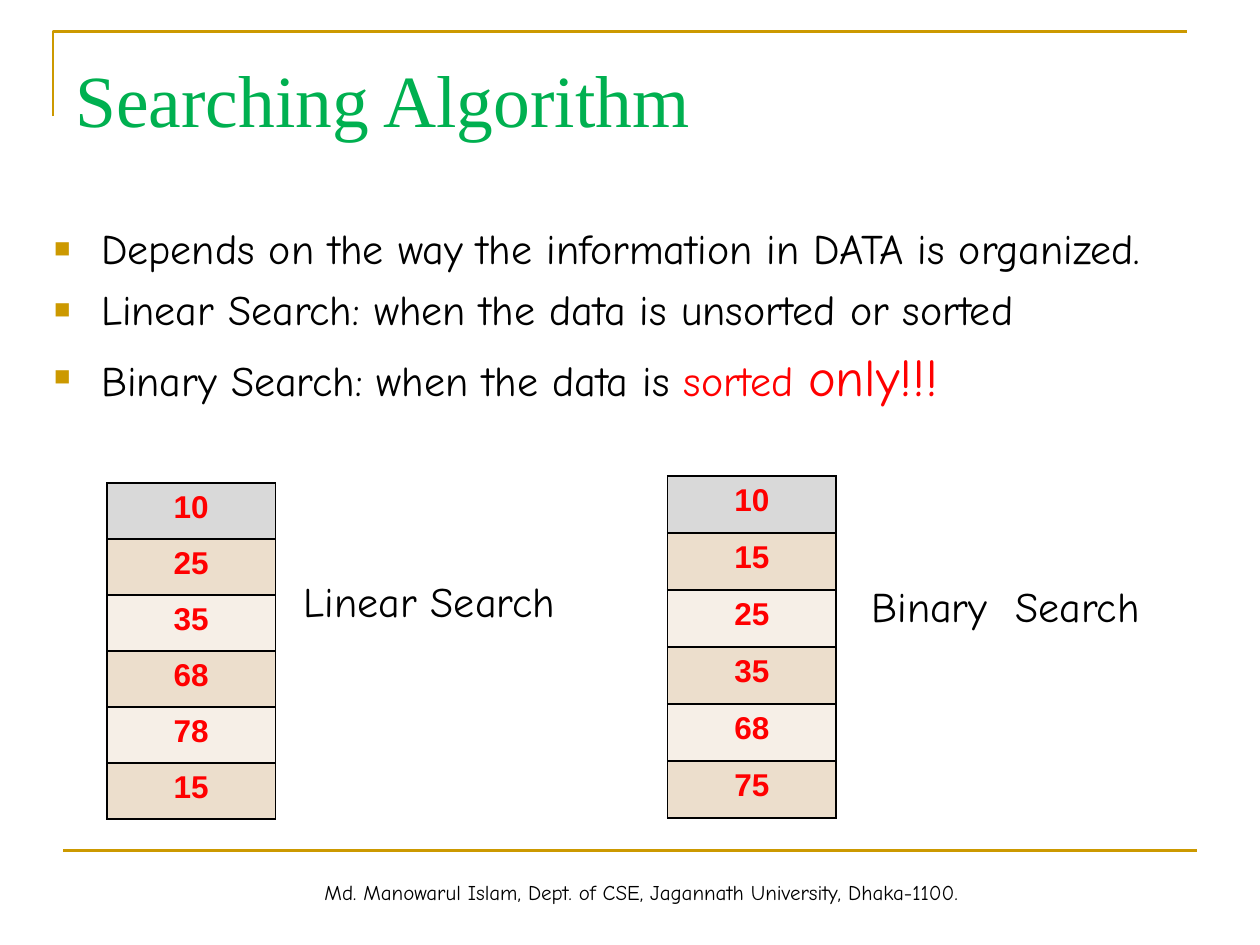
"""Build the Searching Algorithm slide with a linear and a binary search column."""
from lxml import etree
from pptx import Presentation
from pptx.dml.color import RGBColor
from pptx.enum.shapes import MSO_CONNECTOR
from pptx.enum.text import PP_ALIGN
from pptx.oxml.ns import qn
from pptx.util import Cm, Pt

CENTER, LEFT = PP_ALIGN.CENTER, PP_ALIGN.LEFT
STRAIGHT = MSO_CONNECTOR.STRAIGHT

BLACK = RGBColor(0x00, 0x00, 0x00)
RED = RGBColor(0xFF, 0x00, 0x00)
GREEN = RGBColor(0x00, 0xB0, 0x50)
GOLD = RGBColor(0xCC, 0x99, 0x00)
GRAY = RGBColor(0xD9, 0xD9, 0xD9)
TAN = RGBColor(0xEC, 0xDE, 0xCC)
CREAM = RGBColor(0xF6, 0xEF, 0xE7)

TITLE = {"name": "Times New Roman", "size": Pt(42)}
BODY = {"name": "Comic Neue", "size": Pt(24)}
EMPHASIS = {"name": "Comic Neue", "size": Pt(30)}
FOOTER = {"name": "Comic Neue", "size": Pt(12)}
NUMBER = {"name": "Arial", "size": Pt(18), "bold": True}


class SearchSlide:
    """Holds the rule style and the current slide."""

    def __init__(self, slide):
        self.slide = slide
        self.rule_format = {"width": Pt(1.5)}

    def style_rule(self, line):
        line.color.rgb = GOLD
        for name, value in self.rule_format.items():
            setattr(line, name, value)

    def corner(self, left, top, right, bottom):
        builder = self.slide.shapes.build_freeform(Cm(left), Cm(bottom))
        builder.add_line_segments([(Cm(left), Cm(top)), (Cm(right), Cm(top))], close=False)
        frame = builder.convert_to_shape()
        frame.shadow.inherit = False
        frame.fill.background()
        self.style_rule(frame.line)

    def rule(self, left, right, y):
        rule = self.slide.shapes.add_connector(STRAIGHT, Cm(left), Cm(y), Cm(right), Cm(y))
        etree.SubElement(rule._element.spPr, qn("a:effectLst"))
        self.style_rule(rule.line)

    def add_words(self, paragraph, words, style, color, align=LEFT):
        paragraph.alignment = align
        run = paragraph.add_run()
        run.text = words
        run.font.color.rgb = color
        for name, value in style.items():
            setattr(run.font, name, value)

    def frame(self, box, **margins):
        text_frame = self.slide.shapes.add_textbox(*map(Cm, box)).text_frame
        text_frame.word_wrap = True
        for name, value in margins.items():
            setattr(text_frame, name, Cm(value))
        return text_frame

    def text(self, box, words, style, color=BLACK, align=LEFT, **margins):
        text_frame = self.frame(box, **margins)
        self.add_words(text_frame.paragraphs[0], words, style, color, align)

    def bullet(self, paragraph):
        properties = paragraph._p.get_or_add_pPr()
        properties.set("marL", str(Cm(0.95)))
        properties.set("indent", str(Cm(-0.95)))
        bullet_color = etree.SubElement(properties, qn("a:buClr"))
        etree.SubElement(bullet_color, qn("a:srgbClr"), val=str(GOLD))
        etree.SubElement(properties, qn("a:buSzPct"), val="65000")
        etree.SubElement(properties, qn("a:buFont"), typeface="Arial")
        etree.SubElement(properties, qn("a:buChar"), char="■")

    def bullets(self, box, points, **margins):
        text_frame = self.frame(box, **margins)
        for index, point in enumerate(points):
            paragraph = text_frame.add_paragraph() if index else text_frame.paragraphs[0]
            self.bullet(paragraph)
            paragraph.space_before = Pt(6 if index else 0)
            for words, style, color in point:
                self.add_words(paragraph, words, style, color)

    def border(self, cell):
        properties = cell._tc.get_or_add_tcPr()
        for index, side in enumerate(("a:lnL", "a:lnR", "a:lnT", "a:lnB")):
            edge = etree.Element(qn(side), w=str(Pt(1)))
            fill = etree.SubElement(edge, qn("a:solidFill"))
            etree.SubElement(fill, qn("a:srgbClr"), val=str(BLACK))
            properties.insert(index, edge)

    def column(self, left, top, row_height, values):
        table = self.slide.shapes.add_table(
            len(values), 1, Cm(left), Cm(top), Cm(3.39), Cm(row_height * len(values))).table
        table.first_row = table.horz_banding = False
        for index, value in enumerate(values):
            table.rows[index].height = Cm(row_height)
            cell = table.cell(index, 0)
            cell.fill.solid()
            cell.fill.fore_color.rgb = (TAN if index % 2 else CREAM) if index else GRAY
            self.border(cell)
            self.add_words(cell.text_frame.paragraphs[0], str(value), NUMBER, RED, CENTER)


def main():
    deck = Presentation()
    deck.slide_width, deck.slide_height = Cm(25.4), Cm(19.05)
    page = SearchSlide(deck.slides.add_slide(deck.slide_layouts[6]))

    page.corner(1.07, 0.64, 23.93, 2.34)
    page.rule(1.27, 24.13, 17.15)
    page.text((0.97, 17.6, 23.93, 0.76),
              "Md. Manowarul Islam, Dept. of CSE, Jagannath University, Dhaka-1100.",
              FOOTER, align=CENTER)
    page.text((1.27, 0.76, 22.86, 3.18), "Searching Algorithm", TITLE, GREEN, margin_top=0.32)
    page.bullets((0.84, 4.24, 23.62, 5.92), [
        [("Depends on the way the information in DATA is organized.", BODY, BLACK)],
        [("Linear Search: when the data is unsorted or sorted", BODY, BLACK)],
        [("Binary Search: when the data is ", BODY, BLACK),
         ("sorted ", BODY, RED), ("only!!!", EMPHASIS, RED)],
    ], margin_top=0.25)
    page.column(2.16, 9.74, 1.13, [10, 25, 35, 68, 78, 15])
    page.column(13.46, 9.6, 1.15, [10, 15, 25, 35, 68, 75])
    page.text((5.87, 11.48, 6.25, 2.06), "Linear Search", BODY)
    page.text((12.24, 11.58, 12.62, 2.06), "Binary  Search", BODY, margin_left=5.33)

    deck.save("out.pptx")


if __name__ == "__main__":
    main()
